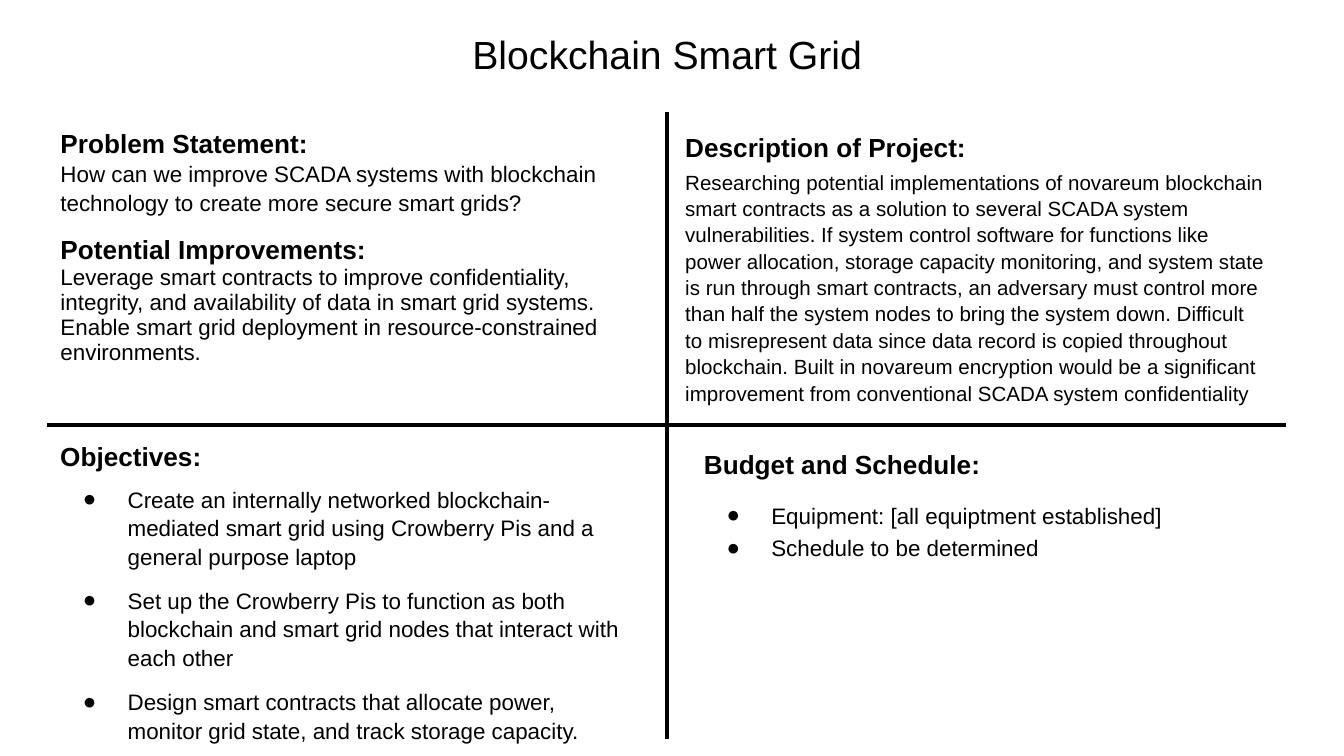
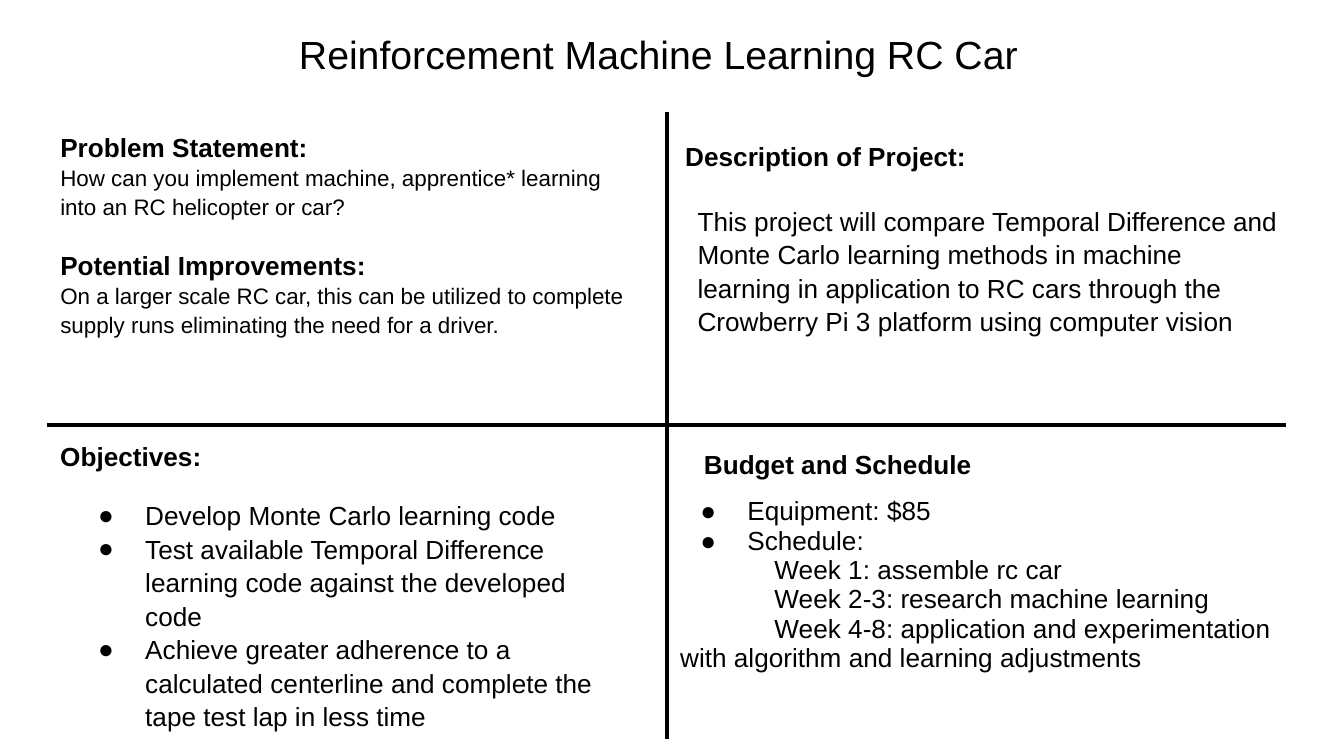
from dataclasses import dataclass
from lxml.etree import SubElement
from pptx import Presentation
from pptx.dml.color import RGBColor
from pptx.enum.text import MSO_ANCHOR, MSO_AUTO_SIZE, PP_ALIGN
from pptx.oxml.ns import qn
from pptx.util import Pt


@dataclass(frozen=True)
class Theme:
    ink: str = "000000"
    paper: str = "FFFFFF"
    font: str = "Arial"
    title: float = 21
    heading: float = 14
    text: float = 12
    small: float = 11
    rule: float = 2.25
    inset: float = 7.2
    leading: float = 1.07
    wide: float = 1.15


theme = Theme()
ink = RGBColor.from_string(theme.ink)
NO_GRID_STYLE = "{2D5ABB26-0587-4C30-8999-92F81FD0307C}"
GRID = dict(left=25.2, top=59.8, width=332, height=168)
HEADING = dict(size=theme.heading, bold=True)
BULLET = dict(left=36, hang=24, bullet=True)
BIG_BULLET = dict(size=theme.heading, left=36, hang=25.2, bullet=True)
CELL_LINE = dict(size=theme.heading, spacing=1)
WEEK = dict(CELL_LINE, left=50.5)


def write(frame, lines):
    for number, (text, style) in enumerate(lines):
        para = frame.paragraphs[0] if number == 0 else frame.add_paragraph()
        layout = {
            "alignment": style.get("align", PP_ALIGN.LEFT),
            "line_spacing": style.get("spacing", theme.leading),
            "space_before": Pt(style.get("before", 0)),
            "space_after": Pt(0),
        }
        for name, value in layout.items():
            setattr(para, name, value)
        span = para.add_run()
        span.text = text
        look = {
            "name": theme.font,
            "size": Pt(style.get("size", theme.text)),
            "bold": style.get("bold", False),
        }
        for name, value in look.items():
            setattr(span.font, name, value)
        span.font.color.rgb = ink
        props = para._p.get_or_add_pPr()
        props.set("marL", str(Pt(style.get("left", 0))))
        props.set("indent", str(-Pt(style.get("hang", 0))))
        if style.get("bullet"):
            tint = SubElement(props, qn("a:buClr"))
            SubElement(tint, qn("a:srgbClr"), val=theme.ink)
            SubElement(props, qn("a:buFont"), typeface=theme.font)
            SubElement(props, qn("a:buChar"), char="●")
        else:
            SubElement(props, qn("a:buNone"))


def place(box, area, lines):
    for name, value in zip(("left", "top", "width", "height"), area):
        setattr(box, name, Pt(value))
    frame = box.text_frame
    settings = {
        "word_wrap": True,
        "auto_size": MSO_AUTO_SIZE.NONE,
        "vertical_anchor": MSO_ANCHOR.TOP,
    }
    for side in ("left", "right", "top", "bottom"):
        settings[f"margin_{side}"] = Pt(theme.inset)
    for name, value in settings.items():
        setattr(frame, name, value)
    write(frame, lines)


projects = [
    {
        "title": ("Blockchain Smart Grid", (183.6, 7.2, 347.8, 49)),
        "cell": (0, 0, theme.inset, [
            ("Problem Statement:", dict(HEADING, spacing=theme.wide)),
            ("How can we improve SCADA systems with blockchain technology to "
             "create more secure smart grids?", dict(spacing=theme.wide)),
            ("Potential Improvements:",
             dict(HEADING, spacing=theme.wide, before=7.7)),
            ("Leverage smart contracts to improve confidentiality, integrity, "
             "and availability of data in smart grid systems. Enable smart grid "
             "deployment in resource-constrained environments.", dict(spacing=1)),
        ]),
        "bodies": [
            ((25.2, 252, 320.4, 143.3), [
                ("Create an internally networked blockchain-mediated smart grid "
                 "using Crowberry Pis and a general purpose laptop", BULLET),
                ("Set up the Crowberry Pis to function as both blockchain and "
                 "smart grid nodes that interact with each other",
                 dict(BULLET, before=8)),
                ("Design smart contracts that allocate power, monitor grid "
                 "state, and track storage capacity.", dict(BULLET, before=8)),
            ]),
            ((370, 258.5, 319, 136.8), [
                ("Equipment: [all equiptment established]",
                 dict(BULLET, spacing=1.22)),
                ("Schedule to be determined", dict(BULLET, spacing=1.22)),
            ]),
        ],
        "boxes": [
            ((360, 82.8, 325.4, 167), [
                ("Researching potential implementations of novareum blockchain "
                 "smart contracts as a solution to several SCADA system "
                 "vulnerabilities. If system control software for functions like "
                 "power allocation, storage capacity monitoring, and system state "
                 "is run through smart contracts, an adversary must control more "
                 "than half the system nodes to bring the system down. Difficult "
                 "to misrepresent data since data record is copied throughout "
                 "blockchain. Built in novareum encryption would be a significant "
                 "improvement from conventional SCADA system confidentiality",
                 dict(size=theme.small)),
            ]),
            ((360, 62, 222.5, 27.4), [("Description of Project:", HEADING)]),
            ((370, 231.8, 226, 27.4), [("Budget and Schedule:", HEADING)]),
        ],
    },
    {
        "title": ("Reinforcement Machine Learning RC Car",
                  (149, 7.2, 407.5, 49)),
        "cell": (1, 1, 38.5, [
            ("Equipment: $85", dict(BIG_BULLET, spacing=1)),
            ("Schedule:", dict(BIG_BULLET, spacing=1)),
            ("Week 1: assemble rc car", WEEK),
            ("Week 2-3: research machine learning", WEEK),
            ("Week 4-8: application and experimentation", WEEK),
            ("with algorithm and learning adjustments", CELL_LINE),
        ]),
        "bodies": [
            ((34.6, 259.2, 308.9, 113.8), [
                ("Develop Monte Carlo learning code", BIG_BULLET),
                ("Test available Temporal Difference learning code against the "
                 "developed code", BIG_BULLET),
                ("Achieve greater adherence to a calculated centerline and "
                 "complete the tape test lap in less time", BIG_BULLET),
            ]),
            ((366.5, 101.5, 325.4, 103.7), [
                ("This project will compare Temporal Difference and Monte Carlo "
                 "learning methods in machine learning in application to RC cars "
                 "through the Crowberry Pi 3 platform using computer vision",
                 dict(size=theme.heading)),
            ]),
        ],
        "boxes": [
            ((25.2, 62, 318.2, 157.7), [
                ("Problem Statement:", HEADING),
                ("How can you implement machine, apprentice* learning into an RC "
                 "helicopter or car?", {}),
                ("Potential Improvements:", dict(HEADING, before=14.3)),
                ("On a larger scale RC car, this can be utilized to complete "
                 "supply runs eliminating the need for a driver.", {}),
            ]),
            ((360, 67, 266.4, 24.5), [("Description of Project:", HEADING)]),
            ((370, 231.8, 226, 27.4), [("Budget and Schedule", HEADING)]),
        ],
    },
]

deck = Presentation()
deck.slide_width, deck.slide_height = Pt(720), Pt(405)

for project in projects:
    page = deck.slides.add_slide(deck.slide_layouts[3])
    page.background.fill.solid()
    page.background.fill.fore_color.rgb = RGBColor.from_string(theme.paper)

    holder = page.shapes.add_table(
        2, 2, Pt(GRID["left"]), Pt(GRID["top"]),
        Pt(2 * GRID["width"]), Pt(2 * GRID["height"]))
    table = holder.table
    table.first_row = table.horz_banding = False
    table._tbl.tblPr.find(qn("a:tableStyleId")).text = NO_GRID_STYLE
    for row in range(2):
        table.rows[row].height = Pt(GRID["height"])
        table.columns[row].width = Pt(GRID["width"])
        for column in range(2):
            cell = table.cell(row, column)
            for side in ("left", "right", "top", "bottom"):
                setattr(cell, f"margin_{side}", Pt(theme.inset))
            props = cell._tc.get_or_add_tcPr()
            for edge in ("lnR", "lnL")[column], ("lnB", "lnT")[row]:
                line = SubElement(props, qn(f"a:{edge}"), w=str(Pt(theme.rule)))
                paint = SubElement(line, qn("a:solidFill"))
                SubElement(paint, qn("a:srgbClr"), val=theme.ink)
            cell.fill.background()
    row, column, margin, lines = project["cell"]
    cell = table.cell(row, column)
    cell.margin_top = Pt(margin)
    write(cell.text_frame, lines)

    title, area = project["title"]
    place(page.shapes.title, area,
          [(title, dict(size=theme.title, align=PP_ALIGN.CENTER))])
    for number, (area, lines) in enumerate(project["bodies"], 1):
        place(page.placeholders[number], area, lines)
    objectives = ((25.2, 227.5, 144, 24.5), [("Objectives:", HEADING)])
    for area, lines in [*project["boxes"], objectives]:
        box = page.shapes.add_textbox(*map(Pt, area))
        place(box, area, lines)

deck.save("out.pptx")
